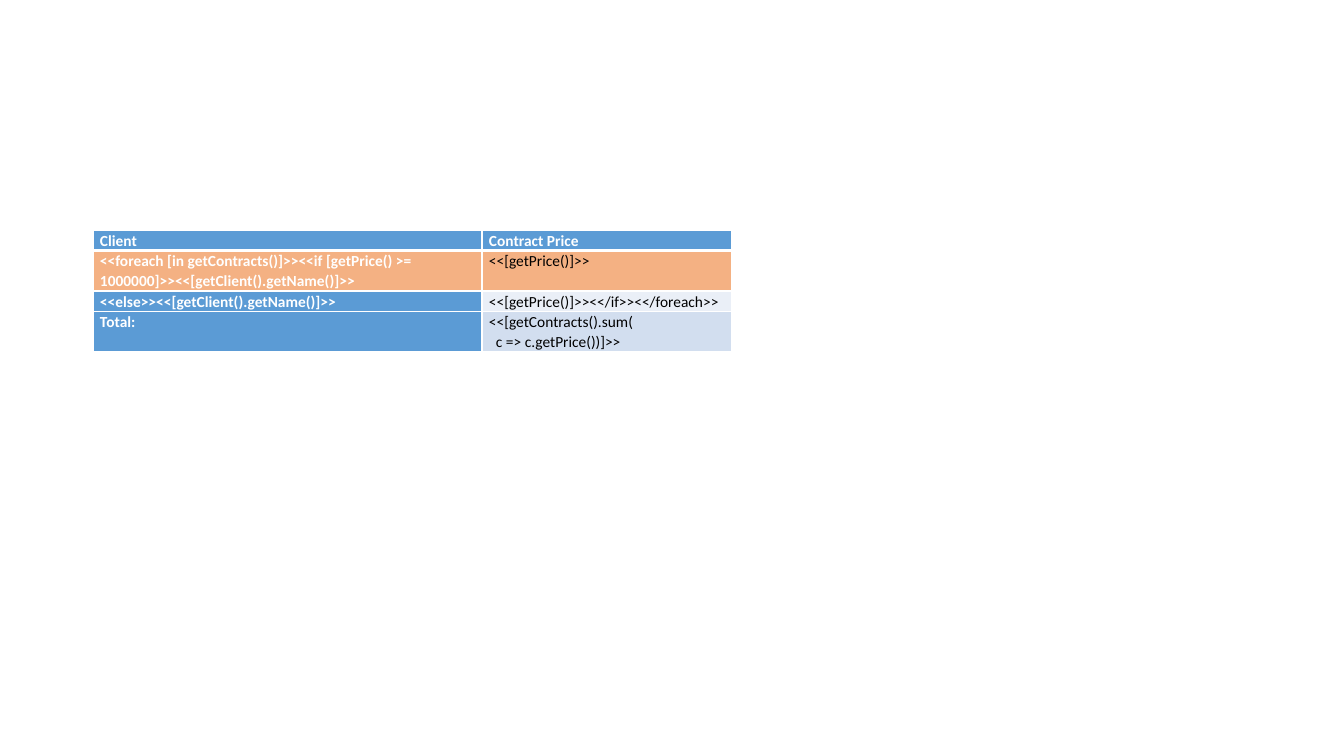
from lxml.etree import SubElement
from pptx import Presentation
from pptx.dml.color import RGBColor
from pptx.oxml.ns import qn
from pptx.util import Pt

WHITE = RGBColor(0xFF, 0xFF, 0xFF)
BLACK = RGBColor(0x00, 0x00, 0x00)
BLUE = RGBColor(0x5B, 0x9B, 0xD5)
ORANGE = RGBColor(0xF4, 0xB1, 0x83)
PALE = RGBColor(0xEA, 0xEF, 0xF7)
LIGHT = RGBColor(0xD2, 0xDE, 0xEF)

ROWS = [
    [(["Client"], BLUE), (["Contract Price"], BLUE)],
    [(["<<foreach [in getContracts()]>><<if [getPrice() >= 1000000]>>"
       "<<[getClient().getName()]>>"], ORANGE),
     (["<<[getPrice()]>>"], ORANGE)],
    [(["<<else>><<[getClient().getName()]>>"], BLUE),
     (["<<[getPrice()]>><</if>><</foreach>>"], PALE)],
    [(["Total:"], BLUE),
     (["<<[getContracts().sum(", "c => c.getPrice())]>>"], LIGHT)],
]
COLUMN_WIDTHS = [389, 250]
ROW_HEIGHTS = [20, 40, 20, 40]
LEFT, TOP = 93, 230
INSET = 7
THIN, THICK = 1, 3
CELL_FORMAT = {"margin_left": INSET, "margin_right": INSET,
               "margin_top": 0, "margin_bottom": 0}
FONT_FORMAT = {"name": "Calibri", "size": Pt(11)}


def px(length):
    """Turn pixels into EMU."""
    return round(length * 914400 / 100.8)


def add_borders(cell, top, bottom):
    """Draw white lines on the four sides of a cell."""
    properties = cell._tc.get_or_add_tcPr()
    for side, width in (("L", THIN), ("R", THIN), ("T", top), ("B", bottom)):
        line = SubElement(properties, qn(f"a:ln{side}"), w=str(Pt(width)))
        fill = SubElement(line, qn("a:solidFill"))
        SubElement(fill, qn("a:srgbClr"), val=str(WHITE))


def write_lines(cell, lines, color, bold):
    """Write the lines of a cell, with continuation lines indented."""
    frame = cell.text_frame
    frame.text = "\n".join(lines)
    for index, paragraph in enumerate(frame.paragraphs):
        paragraph.line_spacing = 1.07
        if index:
            paragraph._p.get_or_add_pPr().set("marL", str(px(INSET)))
        font = paragraph.runs[0].font
        for name, value in FONT_FORMAT.items():
            setattr(font, name, value)
        font.bold = bold
        font.color.rgb = color


def fill_cell(cell, row, column):
    """Format one cell of the contract table."""
    lines, background = ROWS[row][column]
    for name, value in CELL_FORMAT.items():
        setattr(cell, name, px(value))
    add_borders(cell, THICK if row == 1 else THIN, THICK if row == 0 else THIN)
    cell.fill.solid()
    cell.fill.fore_color.rgb = background
    heading = row == 0 or column == 0
    write_lines(cell, lines, WHITE if heading else BLACK, heading)


def main():
    """Build the slide with the contract table."""
    presentation = Presentation()
    presentation.slide_width, presentation.slide_height = px(1344), px(756)
    slide = presentation.slides.add_slide(presentation.slide_layouts[6])
    table = slide.shapes.add_table(
        len(ROWS), len(COLUMN_WIDTHS), px(LEFT), px(TOP),
        px(sum(COLUMN_WIDTHS)), px(sum(ROW_HEIGHTS))).table
    for column, width in zip(table.columns, COLUMN_WIDTHS):
        column.width = px(width)
    for row, height in zip(table.rows, ROW_HEIGHTS):
        row.height = px(height)
    for row in range(len(ROWS)):
        for column in range(len(COLUMN_WIDTHS)):
            fill_cell(table.cell(row, column), row, column)
    presentation.save("out.pptx")


if __name__ == "__main__":
    main()
